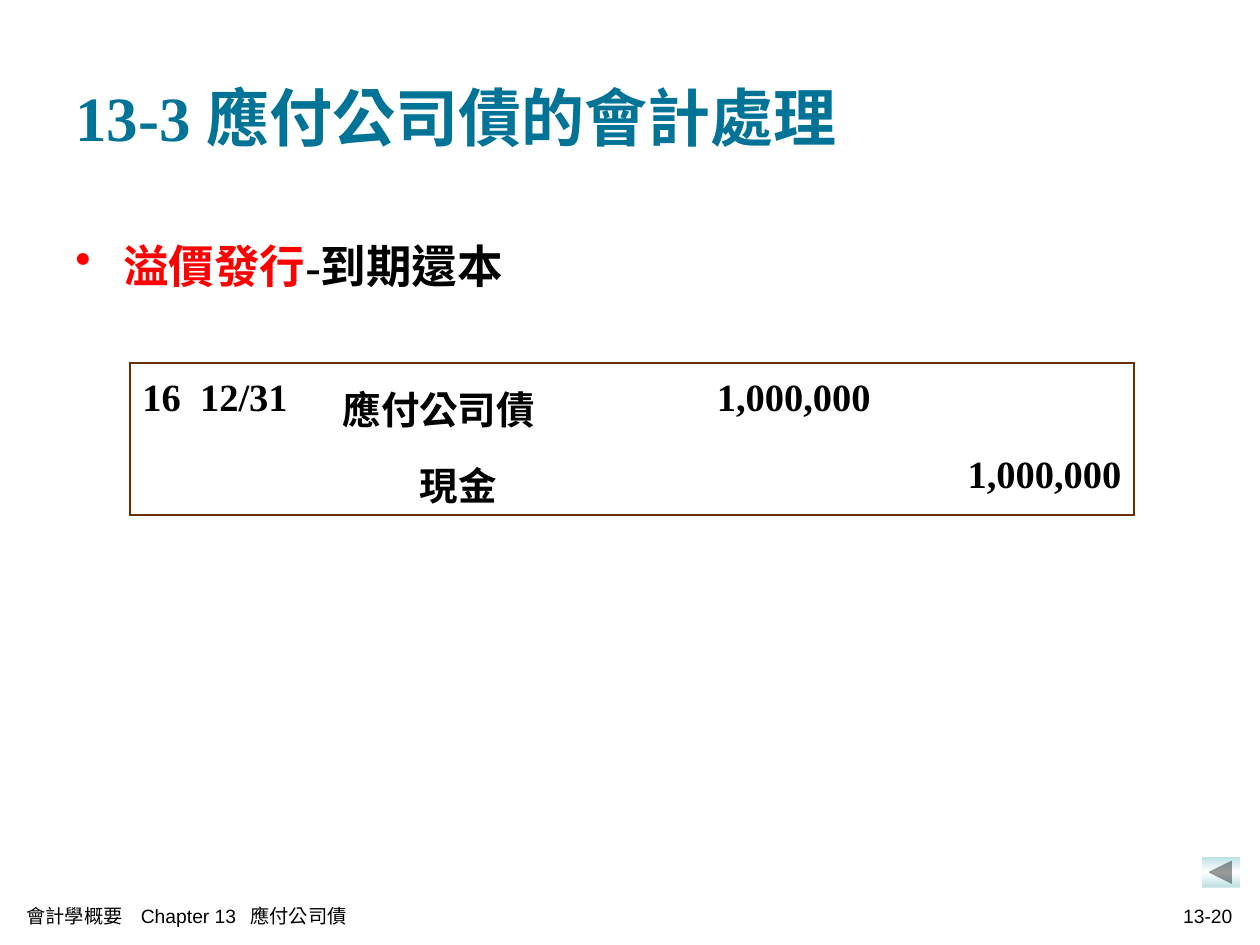
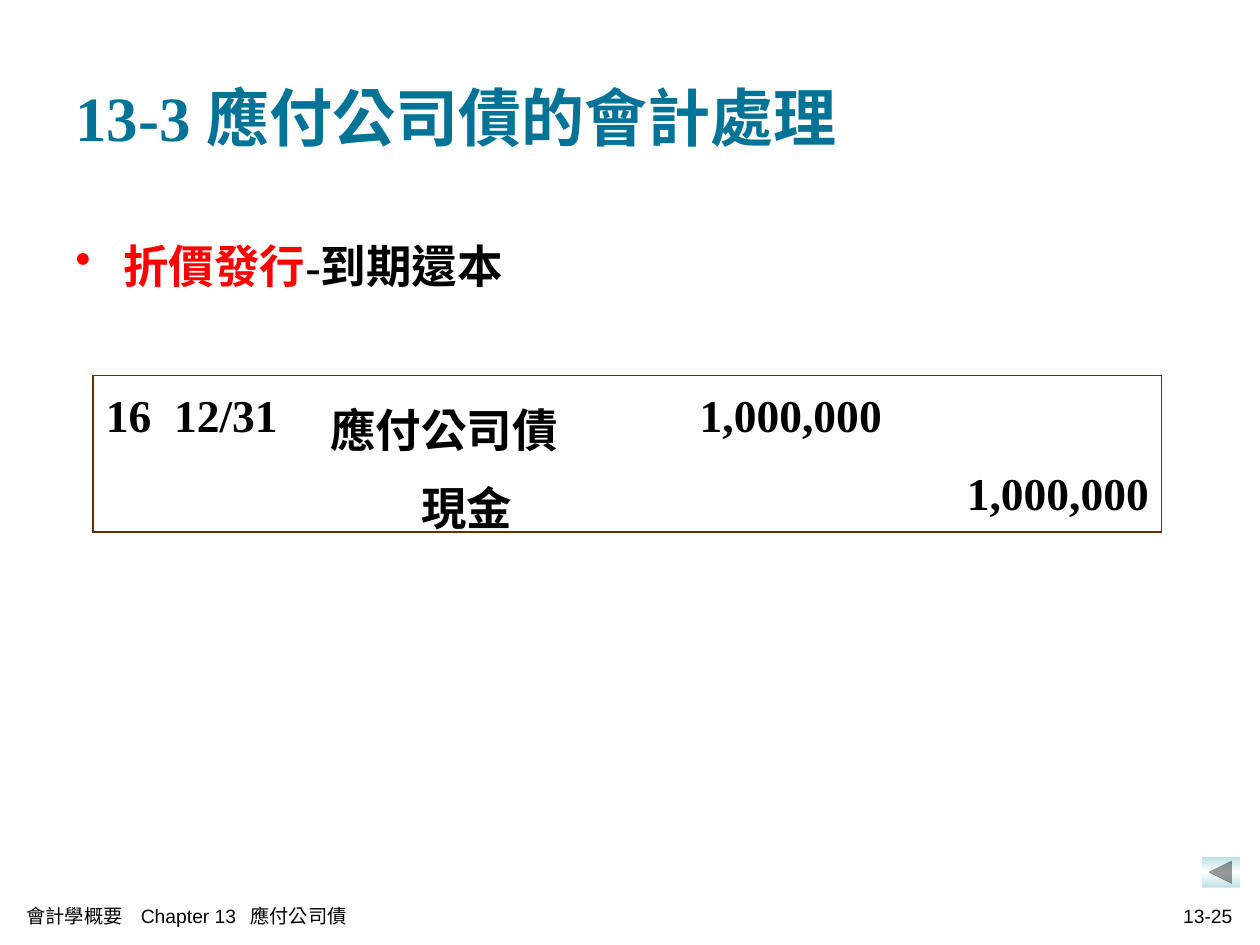
from dataclasses import dataclass

from lxml import etree
from pptx import Presentation
from pptx.dml.color import RGBColor
from pptx.enum.shapes import MSO_SHAPE
from pptx.enum.text import MSO_ANCHOR, PP_ALIGN
from pptx.oxml.ns import qn
from pptx.util import Emu, Inches, Pt

BACK_BUTTON = MSO_SHAPE.ACTION_BUTTON_BACK_OR_PREVIOUS
LEFT, RIGHT = PP_ALIGN.LEFT, PP_ALIGN.RIGHT
TOP, MIDDLE = MSO_ANCHOR.TOP, MSO_ANCHOR.MIDDLE

SLIDE_WIDTH, SLIDE_HEIGHT = Inches(10), Inches(7.5)
GRID_COLUMNS = 100
UNIT = SLIDE_WIDTH / GRID_COLUMNS
NO_TABLE_STYLE = "{2D5ABB26-0587-4C30-8999-92F81FD0307C}"


@dataclass(frozen=True)
class Theme:
    serif: str = "Times New Roman"
    sans: str = "Arial"
    title: str = "007396"
    accent: str = "FF0000"
    ink: str = "000000"
    border: str = "663300"
    button_edge: str = "BBE0E3"
    button_middle: str = "FFFFFF"
    title_size: float = 36
    body_size: float = 26
    footer_size: float = 11
    border_width: float = 1.08
    line_spacing: float = 1.2


@dataclass(frozen=True)
class TextStyle:
    font: str
    size: float
    color: str
    bold: bool = False


@dataclass(frozen=True)
class Area:
    left: float
    top: float
    width: float
    height: float

    def lengths(self) -> tuple[Emu, Emu, Emu, Emu]:
        return grid(self.left), grid(self.top), grid(self.width), grid(self.height)


@dataclass(frozen=True)
class JournalEntry:
    issue_kind: str
    page: str
    left: float
    top: float
    columns: tuple[float, ...]
    row_height: float
    text_size: float


THEME = Theme()
TITLE_STYLE = TextStyle(THEME.serif, THEME.title_size, THEME.title, True)
ISSUE_STYLE = TextStyle(THEME.serif, THEME.body_size, THEME.accent, True)
TOPIC_STYLE = TextStyle(THEME.serif, THEME.body_size, THEME.ink, True)
FOOTER_STYLE = TextStyle(THEME.sans, THEME.footer_size, THEME.ink)

TITLE_AREA = Area(5, 3, 90, 12.5)
HEADING_AREA = Area(5, 17.5, 90, 8.4)
BUTTON_AREA = Area(95.4, 68, 3, 2.45)
CHAPTER_AREA = Area(1.1, 71, 51, 3.3)
PAGE_AREA = Area(67.8, 71, 31, 3.3)
HEADING_INDENT = 3.8
CHAPTER_TABS = (9.1, 17.8)
DATE_TAB_EMS = 1.5
CREDIT_INDENT_EMS = 2

ENTRIES = (
    JournalEntry("溢價發行", "13-20", 10.3, 28.8, (15.9, 22.3, 21.6, 19.9), 6.05, 22),
    JournalEntry("折價發行", "13-25", 7.4, 29.8, (17.8, 24.6, 21.2, 21.2), 6.2, 26),
)
ENTRY_ROWS = (
    ("16\t12/31", "應付公司債", "1,000,000", ""),
    ("", "現金", "", "1,000,000"),
)


def grid(units: float) -> Emu:
    return Emu(round(units * UNIT))


def style_run(run, style: TextStyle) -> None:
    run.font.name = style.font
    run.font.size = Pt(style.size)
    run.font.bold = style.bold
    run.font.color.rgb = RGBColor.from_string(style.color)
    run.font._element.set("lang", "zh-TW")


def add_color_fill(parent, color: str) -> None:
    fill = etree.SubElement(parent, qn("a:solidFill"))
    etree.SubElement(fill, qn("a:srgbClr"), val=color)


def add_tabs(paragraph, positions: tuple[Emu, ...]) -> None:
    tabs = etree.SubElement(paragraph._p.get_or_add_pPr(), qn("a:tabLst"))
    for position in positions:
        etree.SubElement(tabs, qn("a:tab"), pos=str(position), algn="l")


def add_bullet(paragraph, color: str, indent: Emu) -> None:
    properties = paragraph._p.get_or_add_pPr()
    properties.set("marL", str(indent))
    properties.set("indent", str(-indent))
    bullet_color = etree.SubElement(properties, qn("a:buClr"))
    etree.SubElement(bullet_color, qn("a:srgbClr"), val=color)
    etree.SubElement(properties, qn("a:buChar"), char="•")


def add_text(slide, area: Area, text: str, style: TextStyle, anchor=MIDDLE, alignment=LEFT):
    frame = slide.shapes.add_textbox(*area.lengths()).text_frame
    frame.word_wrap = True
    frame.vertical_anchor = anchor
    frame.text = text
    paragraph = frame.paragraphs[0]
    paragraph.alignment = alignment
    style_run(paragraph.runs[0], style)
    return paragraph


def add_heading(slide, issue_kind: str) -> None:
    paragraph = add_text(slide, HEADING_AREA, issue_kind, ISSUE_STYLE, TOP)
    add_bullet(paragraph, THEME.accent, grid(HEADING_INDENT))
    paragraph.line_spacing = THEME.line_spacing
    topic = paragraph.add_run()
    topic.text = "-到期還本"
    style_run(topic, TOPIC_STYLE)


def border_cell(cell, sides: list[str]) -> None:
    properties = cell._tc.get_or_add_tcPr()
    for position, side in enumerate(sides):
        line = etree.Element(qn(f"a:{side}"), w=str(Pt(THEME.border_width)))
        add_color_fill(line, THEME.border)
        properties.insert(position, line)


def fill_entry_cell(cell, text: str, column: int, style: TextStyle) -> None:
    cell.text = text
    paragraph = cell.text_frame.paragraphs[0]
    paragraph.alignment = RIGHT if column >= 2 else LEFT
    paragraph.line_spacing = THEME.line_spacing
    style_run(paragraph.runs[0], style)
    if "\t" in text:
        add_tabs(paragraph, (Pt(DATE_TAB_EMS * style.size),))
    if text == "現金":
        indent = Pt(CREDIT_INDENT_EMS * style.size)
        paragraph._p.get_or_add_pPr().set("marL", str(indent))


def add_entry_table(slide, entry: JournalEntry) -> None:
    row_count, column_count = len(ENTRY_ROWS), len(entry.columns)
    area = Area(entry.left, entry.top, sum(entry.columns), entry.row_height * row_count)
    table = slide.shapes.add_table(row_count, column_count, *area.lengths()).table
    table.first_row = table.horz_banding = False
    table._tbl.tblPr.find(qn("a:tableStyleId")).text = NO_TABLE_STYLE
    for column, width in zip(table.columns, entry.columns):
        column.width = grid(width)
    style = TextStyle(THEME.serif, entry.text_size, THEME.ink, True)
    for row_index, texts in enumerate(ENTRY_ROWS):
        table.rows[row_index].height = grid(entry.row_height)
        for column_index, text in enumerate(texts):
            cell = table.cell(row_index, column_index)
            cell.fill.background()
            edges = {
                "lnL": column_index == 0,
                "lnR": column_index == column_count - 1,
                "lnT": row_index == 0,
                "lnB": row_index == row_count - 1,
            }
            border_cell(cell, [side for side, outer in edges.items() if outer])
            if text:
                fill_entry_cell(cell, text, column_index, style)


def add_back_button(slide) -> None:
    button = slide.shapes.add_shape(BACK_BUTTON, *BUTTON_AREA.lengths())
    button.shadow.inherit = False
    button.line.fill.background()
    button.fill.gradient()
    button.fill.gradient_angle = 90
    stops = button.fill._xPr.find(qn("a:gradFill")).find(qn("a:gsLst"))
    for stop in list(stops):
        stops.remove(stop)
    colors = (THEME.button_edge, THEME.button_middle, THEME.button_edge)
    for index, color in enumerate(colors):
        stop = etree.SubElement(stops, qn("a:gs"), pos=str(index * 50000))
        etree.SubElement(stop, qn("a:srgbClr"), val=color)


def add_footer(slide, page: str) -> None:
    chapter = add_text(slide, CHAPTER_AREA, "會計學概要\tChapter 13\t應付公司債", FOOTER_STYLE)
    add_tabs(chapter, tuple(grid(position) for position in CHAPTER_TABS))
    add_text(slide, PAGE_AREA, page, FOOTER_STYLE, alignment=RIGHT)


def build_slide(presentation, entry: JournalEntry) -> None:
    slide = presentation.slides.add_slide(presentation.slide_layouts[6])
    add_text(slide, TITLE_AREA, "13-3 應付公司債的會計處理", TITLE_STYLE)
    add_heading(slide, entry.issue_kind)
    add_entry_table(slide, entry)
    add_back_button(slide)
    add_footer(slide, entry.page)


def main() -> None:
    presentation = Presentation()
    presentation.slide_width = SLIDE_WIDTH
    presentation.slide_height = SLIDE_HEIGHT
    for entry in ENTRIES:
        build_slide(presentation, entry)
    presentation.save("out.pptx")


if __name__ == "__main__":
    main()
